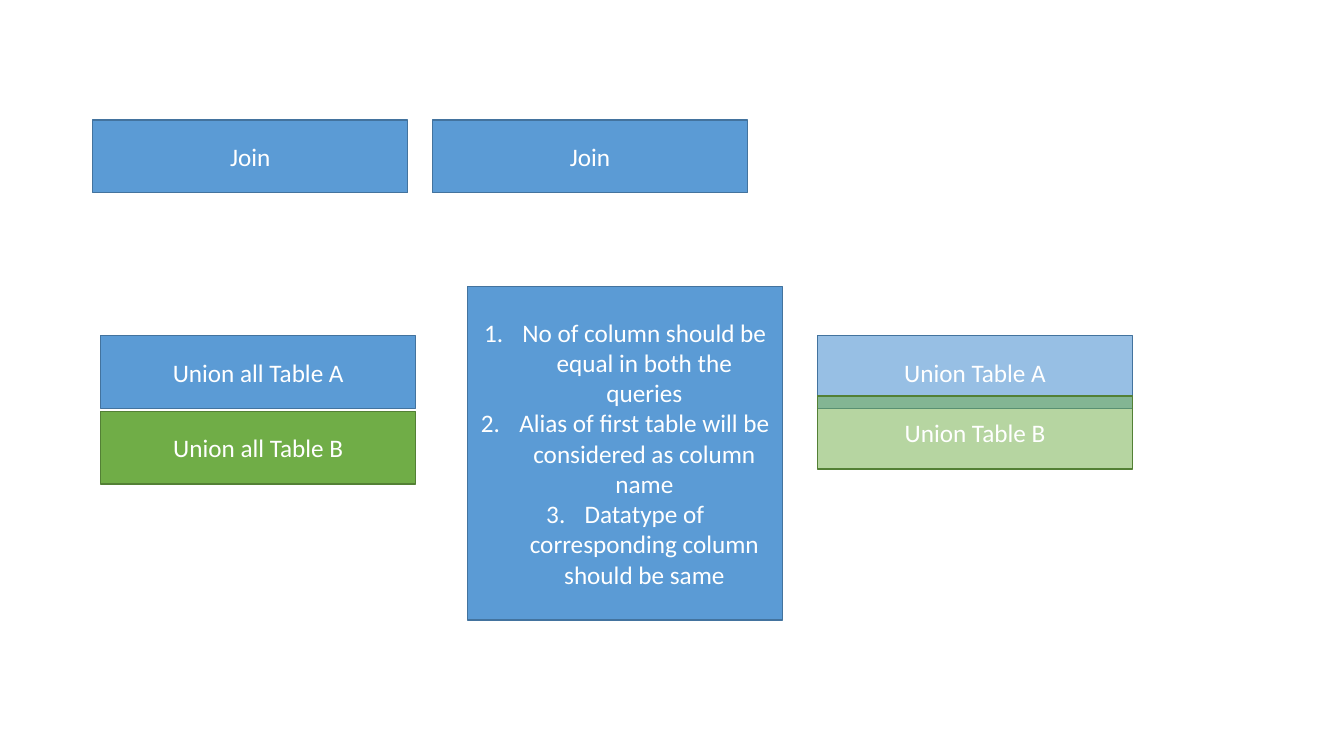
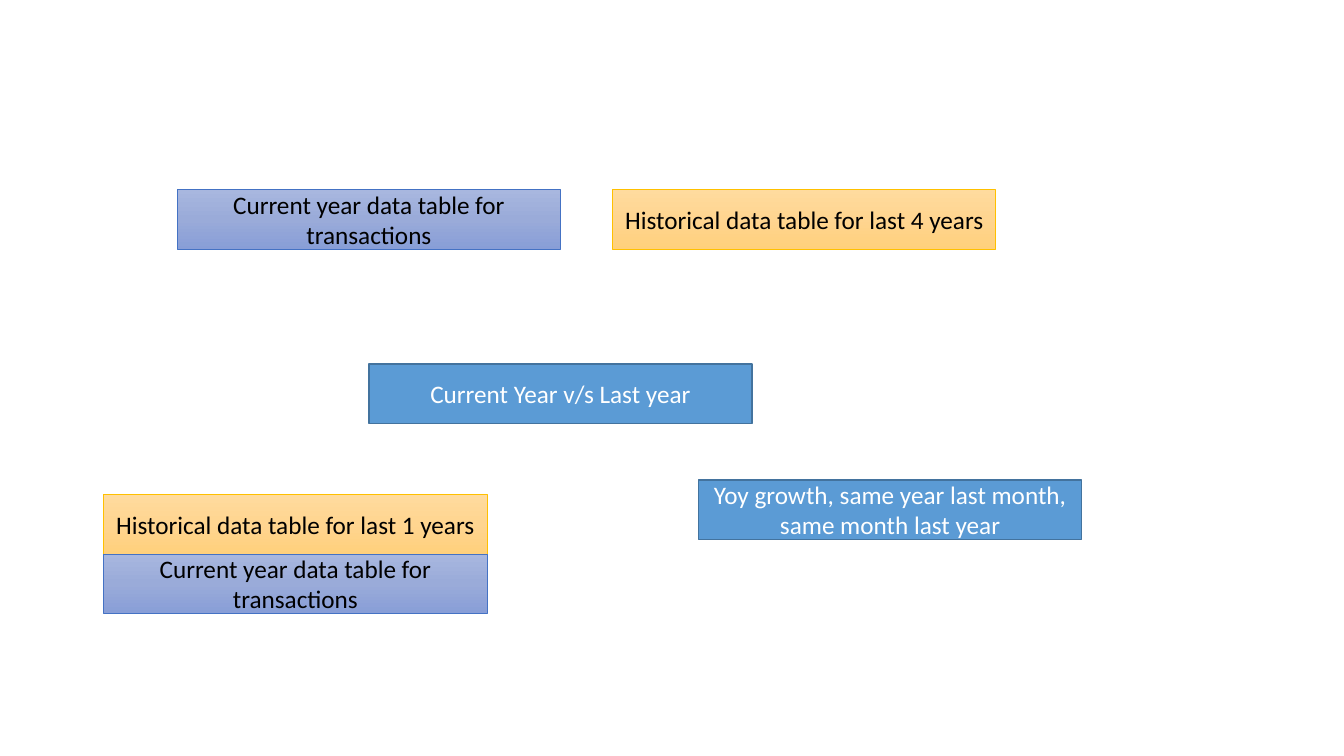
from copy import deepcopy

from lxml.etree import SubElement
from pptx import Presentation
from pptx.dml.color import RGBColor
from pptx.enum.shapes import MSO_SHAPE
from pptx.enum.text import MSO_ANCHOR, PP_ALIGN
from pptx.oxml.ns import qn
from pptx.util import Inches, Pt

COLORS = {
    "white": "FFFFFF",
    "black": "000000",
    "blue": "5B9BD5",
    "blue_edge": "43739E",
    "green": "70AD47",
    "green_edge": "538035",
    "gold_top": "FFDB9E",
    "gold_middle": "FFD590",
    "gold_bottom": "FFD07C",
    "gold_edge": "FFC000",
    "indigo_top": "A8B7DF",
    "indigo_middle": "9AABD9",
    "indigo_bottom": "889ED7",
    "indigo_edge": "4472C4",
}

# Each style: fill colours (one is solid, three are a gradient), edge, edge width, text
STYLES = {
    "blue": (["blue"], "blue_edge", 1, "white"),
    "green": (["green"], "green_edge", 1, "white"),
    "gold": (["gold_top", "gold_middle", "gold_bottom"], "gold_edge", 0.5, "black"),
    "indigo": (["indigo_top", "indigo_middle", "indigo_bottom"], "indigo_edge", 0.5, "black"),
}


def rgb(name):
    return RGBColor.from_string(COLORS[name])


class Deck:
    """Holds the style and the current slide; lengths are percent of the slide's size."""

    font = "Calibri"
    text_size = Pt(18)
    list_indent = Inches(0.38)

    def __init__(self):
        self.presentation = Presentation()
        self.presentation.slide_width = Inches(13.33)
        self.presentation.slide_height = Inches(7.5)
        self.slide = None

    def new_slide(self):
        blank_layout = self.presentation.slide_layouts[6]
        self.slide = self.presentation.slides.add_slide(blank_layout)

    def box(self, style, lines, left, top, size, opacity=100, numbered=False):
        fills, edge, edge_width, text_color = STYLES[style]
        width, height = size
        across = self.presentation.slide_width / 100
        down = self.presentation.slide_height / 100
        shape = self.slide.shapes.add_shape(
            MSO_SHAPE.RECTANGLE,
            round(left * across), round(top * down),
            round(width * across), round(height * down),
        )
        shape.shadow.inherit = False
        shape.line.color.rgb = rgb(edge)
        shape.line.width = Pt(edge_width)
        if len(fills) == 1:
            self.fill_solid(shape, fills[0], opacity)
        else:
            self.fill_gradient(shape, fills)
        self.add_lines(shape.text_frame, lines, text_color, numbered)

    def fill_solid(self, shape, color, opacity):
        shape.fill.solid()
        shape.fill.fore_color.rgb = rgb(color)
        if opacity < 100:
            fill_color = shape.element.spPr.find(qn("a:solidFill"))[0]
            SubElement(fill_color, qn("a:alpha"), val=str(opacity * 1000))

    def fill_gradient(self, shape, colors):
        """Fill from top to bottom with three evenly spaced colours."""
        shape.fill.gradient()
        shape.fill.gradient_angle = 270
        stop_list = shape.element.spPr.find(qn("a:gradFill")).find(qn("a:gsLst"))
        stop_list.insert(1, deepcopy(stop_list[0]))
        for index, (stop, color) in enumerate(zip(shape.fill.gradient_stops, colors)):
            stop.position = index / 2
            stop.color.rgb = rgb(color)

    def add_lines(self, frame, lines, color, numbered):
        frame.word_wrap = True
        frame.vertical_anchor = MSO_ANCHOR.MIDDLE
        for index, line in enumerate(lines):
            paragraph = frame.add_paragraph() if index else frame.paragraphs[0]
            paragraph.alignment = PP_ALIGN.CENTER
            run = paragraph.add_run()
            run.text = line
            run.font.name = self.font
            run.font.size = self.text_size
            run.font.color.rgb = rgb(color)
            if numbered:
                self.number(paragraph)

    def number(self, paragraph):
        properties = paragraph._p.get_or_add_pPr()
        properties.set("marL", str(self.list_indent))
        properties.set("indent", str(-self.list_indent))
        SubElement(properties, qn("a:buFont"), typeface="+mj-lt")
        SubElement(properties, qn("a:buAutoNum"), type="arabicPeriod")


def build_joins_and_unions(deck):
    deck.new_slide()
    table = (23.44, 9.63)
    union_top = 44.4

    for left in (6.9, 32.18):
        deck.box("blue", ["Join"], left, 15.87, table)

    deck.box("blue", ["Union all Table A"], 7.5, union_top, table)
    deck.box("green", ["Union all Table B"], 7.5, union_top + 10, table)

    rules = [
        "No of column should be equal in both the queries",
        "Alias of first table will be considered as column name",
        "Datatype of corresponding column should be same",
    ]
    deck.box("blue", rules, 34.8, 37.87, (table[0], 44.13), numbered=True)

    deck.box("blue", ["Union Table A"], 60.83, union_top, table, opacity=63)
    deck.box("green", ["Union Table B"], 60.83, union_top + 8, table, opacity=51)


def build_year_comparison(deck):
    deck.new_slide()
    bar = (28.5, 7.87)
    current_year = "Current year data table for transactions"
    bars = [
        ("gold", "Historical data table for last 4 years", 45.6, 25.07),
        ("indigo", current_year, 13.2, 25.07),
        ("blue", "Current Year v/s Last year", 27.45, 48.13),
        ("blue", "Yoy growth, same year last month, same month last year", 51.98, 63.47),
        ("gold", "Historical data table for last 1 years", 7.73, 65.4),
        ("indigo", current_year, 7.73, 65.4 + bar[1]),
    ]
    for style, text, left, top in bars:
        deck.box(style, [text], left, top, bar)


def main():
    deck = Deck()
    build_joins_and_unions(deck)
    build_year_comparison(deck)
    deck.presentation.save("out.pptx")


if __name__ == "__main__":
    main()
